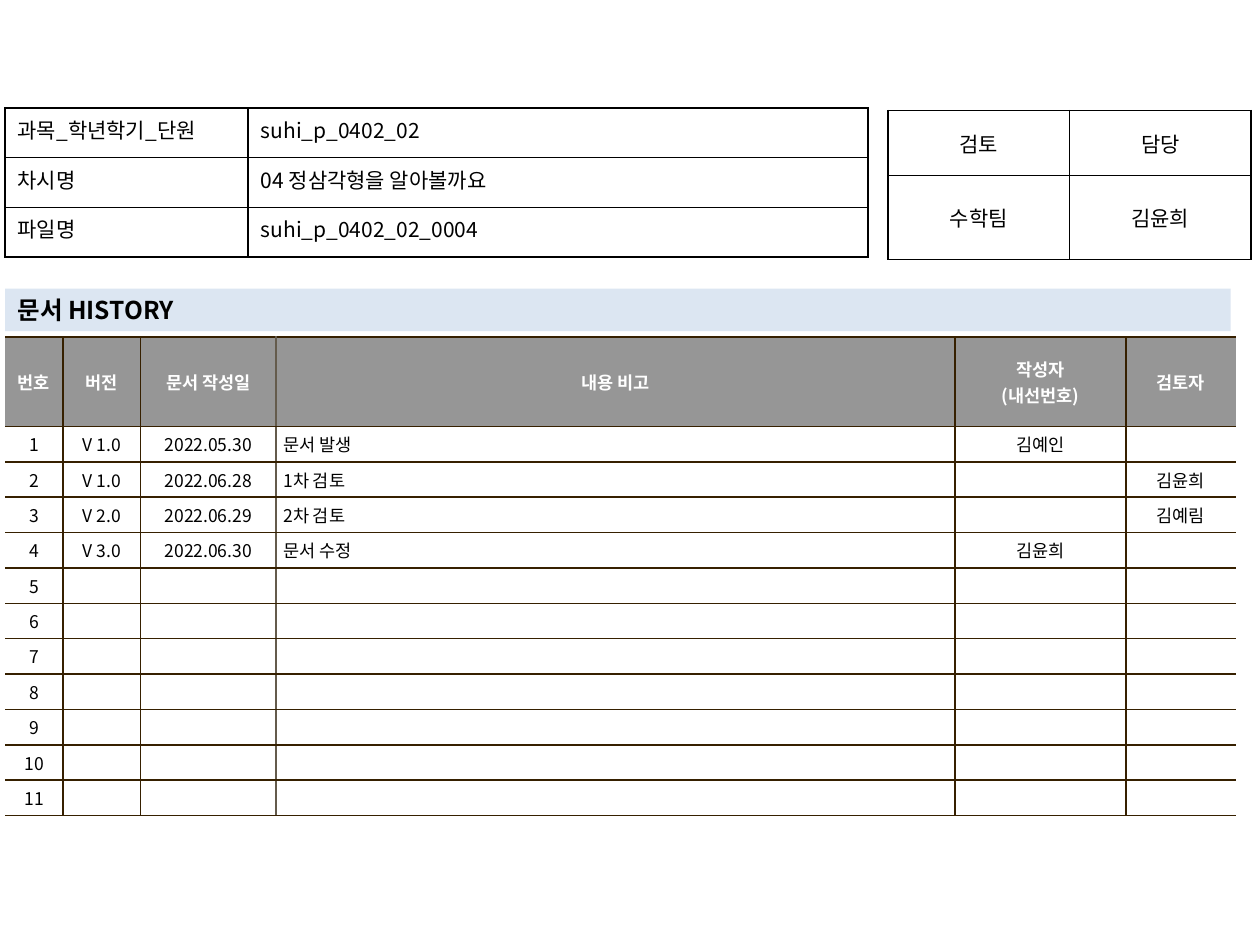
"""Build the lesson document cover slide with its revision history."""
from dataclasses import dataclass
from typing import Optional

from lxml import etree
from pptx import Presentation
from pptx import util as u
from pptx.dml.color import RGBColor
from pptx.enum import shapes, text
from pptx.oxml import ns

BLACK = RGBColor(0x00, 0x00, 0x00)
WHITE = RGBColor(0xFF, 0xFF, 0xFF)
GRAY = RGBColor(0x96, 0x96, 0x96)
PALE_BLUE = RGBColor(0xDC, 0xE6, 0xF2)
BROWN = RGBColor(0x36, 0x20, 0x00)
TAUPE = RGBColor(0x64, 0x5B, 0x4C)

FONT = "Noto Sans CJK KR"
NO_STYLE = "{2D5ABB26-0587-4C30-8999-92F81FD0307C}"
LEFT, CENTER, JUSTIFY = text.PP_ALIGN.LEFT, text.PP_ALIGN.CENTER, text.PP_ALIGN.JUSTIFY
TOP, MIDDLE = text.MSO_ANCHOR.TOP, text.MSO_ANCHOR.MIDDLE


@dataclass
class Grid:
    left: float
    top: float
    widths: list[float]
    heights: list[float]
    rows: list[list[str]]
    aligns: list[text.PP_ALIGN]
    size: float = 12
    anchor: text.MSO_ANCHOR = MIDDLE
    inset: tuple[float, float] = (7.2, 3.6)
    line: RGBColor = BLACK
    body_fill: Optional[RGBColor] = None
    header_fill: Optional[RGBColor] = None
    open_sides: bool = False
    accent_edge: Optional[int] = None


def format_text(frame, size: float, color: RGBColor, bold: bool, align: text.PP_ALIGN) -> None:
    for paragraph in frame.paragraphs:
        paragraph.alignment = align
        for run in paragraph.runs:
            run.font.size, run.font.bold, run.font.name = u.Pt(size), bold, FONT
            run.font.color.rgb = color
            etree.SubElement(run.font._element, ns.qn("a:ea"), typeface=FONT)
        if not paragraph.runs:
            etree.SubElement(paragraph._p, ns.qn("a:endParaRPr"), sz=str(int(size * 100)))


def add_border(cell, side: str, color: Optional[RGBColor]) -> None:
    border = etree.SubElement(cell._tc.get_or_add_tcPr(), ns.qn(f"a:ln{side}"), w=str(u.Pt(1)))
    if color is None:
        etree.SubElement(border, ns.qn("a:noFill"))
    else:
        solid = etree.SubElement(border, ns.qn("a:solidFill"))
        etree.SubElement(solid, ns.qn("a:srgbClr"), val=str(color))


def edge_color(grid: Grid, edge: int) -> Optional[RGBColor]:
    if grid.open_sides and edge in (0, len(grid.widths)):
        return None
    return TAUPE if edge == grid.accent_edge else grid.line


def draw_cell(cell, grid: Grid, row: int, column: int) -> None:
    header = row == 0 and grid.header_fill is not None
    cell.margin_left = cell.margin_right = u.Pt(grid.inset[0])
    cell.margin_top = cell.margin_bottom = u.Pt(grid.inset[1])
    cell.vertical_anchor = grid.anchor
    cell.text_frame.text = grid.rows[row][column]
    format_text(cell.text_frame, grid.size, WHITE if header else BLACK, header,
                CENTER if header else grid.aligns[column])
    add_border(cell, "L", edge_color(grid, column))
    add_border(cell, "R", edge_color(grid, column + 1))
    add_border(cell, "T", grid.line)
    add_border(cell, "B", grid.line)
    fill = grid.header_fill if header else grid.body_fill
    if fill is None:
        cell.fill.background()
    else:
        cell.fill.solid()
        cell.fill.fore_color.rgb = fill


def draw_grid(slide, grid: Grid) -> None:
    frame = slide.shapes.add_table(
        len(grid.heights), len(grid.widths), u.Pt(grid.left), u.Pt(grid.top),
        u.Pt(sum(grid.widths)), u.Pt(sum(grid.heights)))
    table = frame.table
    table.first_row = table.horz_banding = False
    table._tbl.tblPr.find(ns.qn("a:tableStyleId")).text = NO_STYLE
    for column, width in zip(table.columns, grid.widths):
        column.width = u.Pt(width)
    for row, height in zip(table.rows, grid.heights):
        row.height = u.Pt(height)
    for row in range(len(grid.heights)):
        for column in range(len(grid.widths)):
            draw_cell(table.cell(row, column), grid, row, column)


def draw_heading(slide, title: str) -> None:
    band = slide.shapes.add_shape(
        shapes.MSO_SHAPE.RECTANGLE, u.Pt(2.9), u.Pt(165), u.Pt(700.3), u.Pt(24.2))
    band.shadow.inherit = False
    band.fill.solid()
    band.fill.fore_color.rgb = PALE_BLUE
    band.line.fill.background()
    band.text_frame.text = title
    band.text_frame.word_wrap = True
    band.text_frame.vertical_anchor = MIDDLE
    format_text(band.text_frame, 14, BLACK, True, LEFT)


HISTORY_HEADER = ["번호", "버전", "문서 작성일", "내용 비고", "작성자\n(내선번호)", "검토자"]
REVISIONS = [
    ["V 1.0", "2022.05.30", "문서 발생", "김예인", ""],
    ["V 1.0", "2022.06.28", "1차 검토", "", "김윤희"],
    ["V 2.0", "2022.06.29", "2차 검토", "", "김예림"],
    ["V 3.0", "2022.06.30", "문서 수정", "김윤희", ""],
]
REVISION_SLOTS = 11
UNUSED = [[""] * 5] * (REVISION_SLOTS - len(REVISIONS))

HISTORY = Grid(
    2.9, 192.7, [33.1, 44.2, 77.6, 388, 97.8, 62.6], [51] + [18] * REVISION_SLOTS,
    [HISTORY_HEADER] + [[str(number), *entry]
                        for number, entry in enumerate(REVISIONS + UNUSED, 1)],
    [CENTER, CENTER, CENTER, LEFT, CENTER, CENTER],
    size=10, inset=(4.2, 2.9), line=BROWN, body_fill=WHITE, header_fill=GRAY,
    open_sides=True, accent_edge=3)
APPROVAL = Grid(
    507.4, 63.2, [103.8] * 2, [37.2, 47.8],
    [["검토", "담당"], ["수학팀", "김윤희"]], [CENTER, CENTER])
LESSON = Grid(
    2.9, 61.7, [138.9, 354.3], [28.4] * 3,
    [["과목_학년학기_단원", "suhi_p_0402_02"],
     ["차시명", "04 정삼각형을 알아볼까요"],
     ["파일명", "suhi_p_0402_02_0004"]],
    [JUSTIFY, LEFT], anchor=TOP)


def main() -> None:
    deck = Presentation()
    deck.slide_width, deck.slide_height = u.Pt(720), u.Pt(540)
    slide = deck.slides.add_slide(deck.slide_layouts[6])
    draw_grid(slide, HISTORY)
    draw_grid(slide, APPROVAL)
    draw_heading(slide, "문서 HISTORY")
    draw_grid(slide, LESSON)
    deck.save("out.pptx")


if __name__ == "__main__":
    main()
